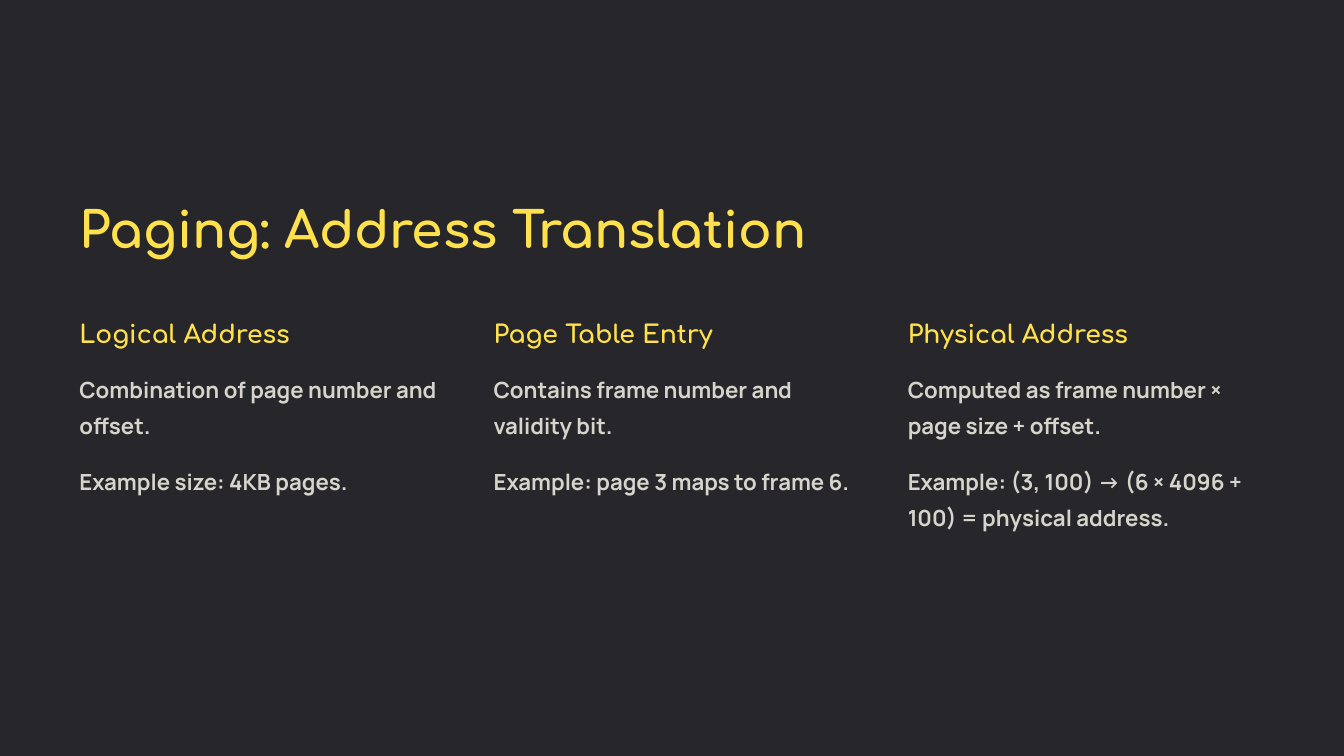
from pptx import Presentation
from pptx.dml.color import RGBColor as RGB
from pptx.enum.shapes import MSO_SHAPE as SHAPE
from pptx.enum.text import MSO_ANCHOR as ANCHOR, MSO_AUTO_SIZE as FIT, PP_ALIGN as ALIGN
from pptx.util import Pt

COLORS = {"bg": "1B1B1E", "panel": "27272B", "accent": "FFE14D", "text": "D7D4CC"}

STYLES = {
    "title": {"name": "Comfortaa", "size": 53.75, "color": "accent", "line": 67.5},
    "heading": {"name": "Comfortaa", "size": 26.85, "color": "accent", "line": 33.7},
    "body": {"name": "Manrope", "size": 23.8, "color": "text", "line": 38.85},
}

COLUMNS = [
    ("Logical Address",
     ["Combination of page number and offset.",
      "Example size: 4KB pages."]),
    ("Page Table Entry",
     ["Contains frame number and validity bit.",
      "Example: page 3 maps to frame 6."]),
    ("Physical Address",
     ["Computed as frame number × page size + offset.",
      "Example: (3, 100) → (6 × 4096 + 100) = physical address."]),
]

SLIDE_W, SLIDE_H = 1440, 810
LEFT, COL_W, COL_PITCH = 85, 384, 443.8


def write(sp, lines, style, gap=0):
    fmt = STYLES[style]
    tf = sp.text_frame
    frame = {"word_wrap": True, "auto_size": FIT.NONE, "vertical_anchor": ANCHOR.TOP,
             "margin_left": 0, "margin_top": 0, "margin_right": 0, "margin_bottom": 0}
    for key, value in frame.items():
        setattr(tf, key, value)
    for i, line in enumerate(lines):
        p = tf.add_paragraph() if i else tf.paragraphs[0]
        para = {"alignment": ALIGN.LEFT, "line_spacing": Pt(fmt["line"]),
                "space_before": Pt(gap if i else 0), "space_after": Pt(0)}
        for key, value in para.items():
            setattr(p, key, value)
        r = p.add_run()
        r.text = line
        font = {"name": fmt["name"], "size": Pt(fmt["size"]), "bold": True}
        for key, value in font.items():
            setattr(r.font, key, value)
        r.font.color.rgb = RGB.from_string(COLORS[fmt["color"]])


def add_backdrop(s, x, y, w, h):
    s.background.fill.solid()
    s.background.fill.fore_color.rgb = RGB.from_string(COLORS["bg"])
    sp = s.shapes.add_shape(SHAPE.RECTANGLE, Pt(x), Pt(y), Pt(w), Pt(h))
    sp.shadow.inherit = False
    sp.fill.solid()
    sp.fill.fore_color.rgb = RGB.from_string(COLORS["panel"])
    sp.line.fill.background()
    s.shapes.title.element.addprevious(sp.element)


def add_title(s, text, x, y, w, h):
    sp = s.shapes.title
    for key, value in {"left": x, "top": y, "width": w, "height": h}.items():
        setattr(sp, key, Pt(value))
    write(sp, [text], "title")


def add_column(s, heading, lines, x, y, w, h):
    head_h, body_dy = 34.5, 53
    sp = s.shapes.add_textbox(Pt(x), Pt(y), Pt(w), Pt(head_h))
    write(sp, [heading], "heading")
    sp = s.shapes.add_textbox(Pt(x), Pt(y + body_dy), Pt(w), Pt(h - body_dy))
    write(sp, lines, "body", gap=21.2)


def main():
    prs = Presentation()
    prs.slide_width, prs.slide_height = Pt(SLIDE_W), Pt(SLIDE_H)
    s = prs.slides.add_slide(prs.slide_layouts[5])
    add_backdrop(s, 0, 0, SLIDE_W, SLIDE_H)
    add_title(s, "Paging: Address Translation", LEFT, 209.6, 783.4, 69.8)
    for i, (heading, lines) in enumerate(COLUMNS):
        add_column(s, heading, lines, LEFT + i * COL_PITCH, 339.5, COL_W, 236.9)
    prs.save("out.pptx")


if __name__ == "__main__":
    main()
